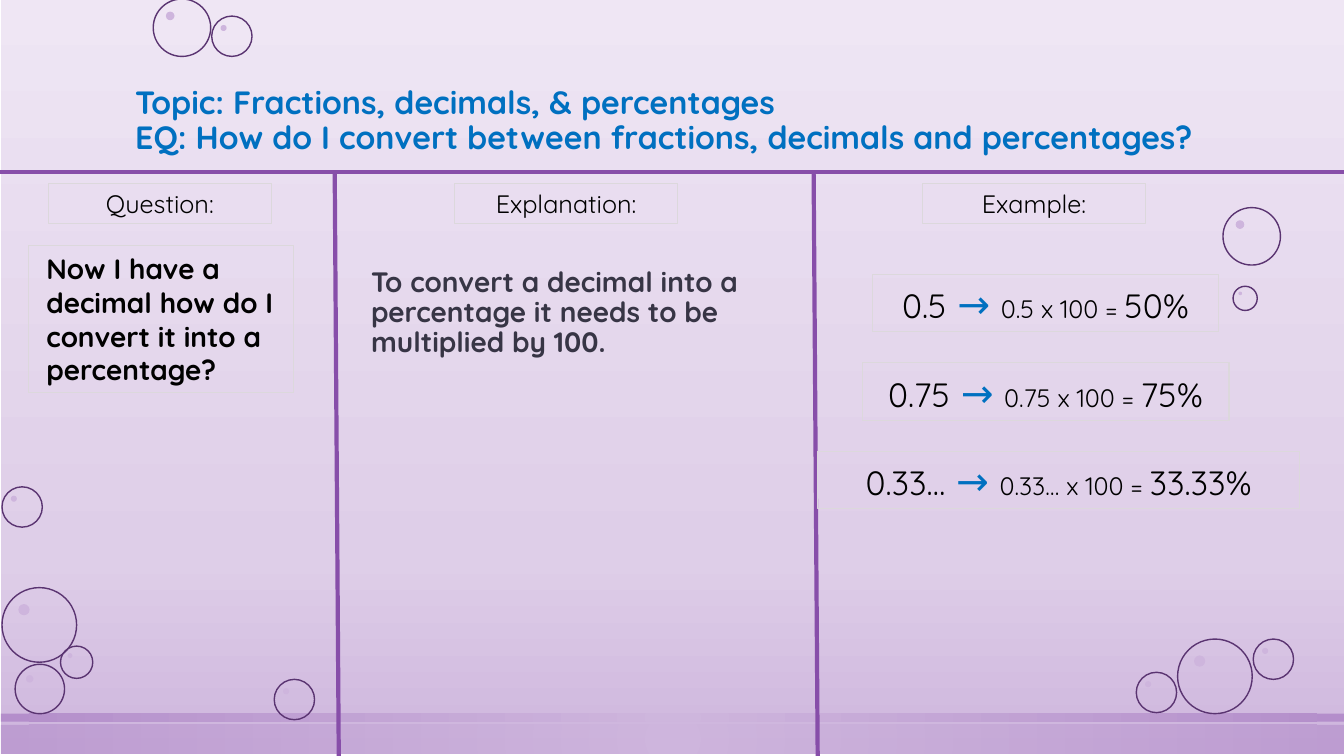
from lxml import etree
from pptx import Presentation
from pptx.dml.color import RGBColor
from pptx.enum.shapes import MSO_CONNECTOR, MSO_SHAPE
from pptx.enum.text import MSO_ANCHOR, MSO_AUTO_SIZE, PP_ALIGN
from pptx.oxml.ns import qn
from pptx.util import Inches, Pt

RECT, OVAL = MSO_SHAPE.RECTANGLE, MSO_SHAPE.OVAL
STRAIGHT = MSO_CONNECTOR.STRAIGHT
LEFT, CENTER = PP_ALIGN.LEFT, PP_ALIGN.CENTER
TOP, MIDDLE, BOTTOM = MSO_ANCHOR.TOP, MSO_ANCHOR.MIDDLE, MSO_ANCHOR.BOTTOM
FIT_SHAPE, NO_FIT = MSO_AUTO_SIZE.SHAPE_TO_FIT_TEXT, MSO_AUTO_SIZE.NONE

FONT = "Quicksand"
COLORS = {
    "pale": "EFE6F4", "lilac": "DECEE8", "mauve": "CEB5DD", "violet": "AD84C6",
    "bubble": "5A3471", "rule": "874EA9", "frame": "DCD8DC",
    "blue": "0070C0", "body": "373545", "black": "000000",
}
SLIDE_W, SLIDE_H = 13.33, 7.5

# Bubbles: left, top, diameter
BUBBLES = [
    (0.02, 5.83, 0.74), (0.6, 6.41, 0.32), (0.15, 6.59, 0.49), (2.72, 6.74, 0.4),
    (0.02, 4.83, 0.4), (11.68, 6.34, 0.74), (11.27, 6.67, 0.4), (12.43, 6.34, 0.4),
    (12.13, 2.06, 0.57), (12.23, 2.84, 0.24), (1.52, -0.01, 0.57), (2.1, 0.16, 0.4),
]
# Column headings: left edge and wording
HEADINGS = [(0.48, "Question:"), (4.51, "Explanation:"), (9.15, "Example:")]
# Examples: left, width, decimal, percentage
EXAMPLES = [
    (8.65, 3.44, "0.5", "50%"),
    (8.55, 3.64, "0.75", "75%"),
    (8.11, 4.78, "0.33…", "33.33%"),
]


def rgb(name):
    return RGBColor.from_string(COLORS[name])


def add_plain_shape(slide, kind, box, fill=None, line=None, width=1):
    shape = slide.shapes.add_shape(kind, *map(Inches, box))
    shape.shadow.inherit = False
    if fill:
        shape.fill.solid()
        shape.fill.fore_color.rgb = rgb(fill)
    else:
        shape.fill.background()
    if line:
        shape.line.color.rgb = rgb(line)
        shape.line.width = Pt(width)
    else:
        shape.line.fill.background()
    return shape


def add_gradient_band(slide, box, stops, alpha=100, radial=False):
    """Stops are (percent, colour) pairs, running down or out from the centre."""
    band = add_plain_shape(slide, RECT, box)
    properties = band.element.spPr
    properties.remove(properties.find(qn("a:noFill")))
    gradient = etree.Element(qn("a:gradFill"), rotWithShape="1")
    stop_list = etree.SubElement(gradient, qn("a:gsLst"))
    for percent, color in stops:
        stop = etree.SubElement(stop_list, qn("a:gs"), pos=str(percent * 1000))
        value = etree.SubElement(stop, qn("a:srgbClr"), val=COLORS[color])
        if alpha < 100:
            etree.SubElement(value, qn("a:alpha"), val=str(alpha * 1000))
    if radial:
        circle = etree.SubElement(gradient, qn("a:path"), path="circle")
        etree.SubElement(circle, qn("a:fillToRect"),
                         {side: "50000" for side in "ltrb"})
    else:
        etree.SubElement(gradient, qn("a:lin"), ang="5400000", scaled="0")
    properties.find(qn("a:prstGeom")).addnext(gradient)


def add_run(paragraph, text, size, color, bold=False):
    run = paragraph.add_run()
    run.text = text
    run.font.name = FONT
    run.font.size = Pt(size)
    run.font.bold = bold
    run.font.color.rgb = rgb(color)


def add_framed_text(slide, box, runs, align=CENTER, inset=0.1):
    frame = add_plain_shape(slide, RECT, box, line="frame", width=0.75)
    text = frame.text_frame
    text.word_wrap = True
    text.auto_size = FIT_SHAPE
    text.vertical_anchor = MIDDLE
    text.margin_left = text.margin_right = Inches(inset)
    paragraph = text.paragraphs[0]
    paragraph.alignment = align
    for run in runs:
        add_run(paragraph, *run)


def place_placeholder(slide, holder, box, anchor):
    """Moves a placeholder above the decoration and returns its paragraph."""
    slide.shapes.element.append(holder.element)
    holder.left, holder.top, holder.width, holder.height = map(Inches, box)
    text = holder.text_frame
    text.word_wrap = True
    text.auto_size = NO_FIT
    text.vertical_anchor = anchor
    paragraph = text.paragraphs[0]
    paragraph.alignment = LEFT
    paragraph.line_spacing = 0.9
    paragraph.space_before = Pt(0)
    return paragraph


def draw_backdrop(slide, box):
    left, top, width, height = box
    add_gradient_band(slide, box, [(0, "pale"), (74, "lilac"), (100, "mauve")])
    glow = [(0, "mauve"), (100, "violet")]
    add_gradient_band(slide, (left, top + 7.21, width, height - 7.21), glow, 50, True)
    add_gradient_band(slide, (left, top + 7.1, width, 0.08), glow, 80, True)


def draw_bubble(slide, left, top, size):
    add_plain_shape(slide, OVAL, (left, top, size, size), line="bubble")
    offset, glint = size * 0.22, size * 0.15
    add_plain_shape(slide, OVAL, (left + offset, top + offset, glint, glint),
                    fill="mauve")


def draw_title(slide, box):
    paragraph = place_placeholder(slide, slide.shapes.title, box, BOTTOM)
    add_run(paragraph, "Topic: Fractions, decimals, & percentages", 23, "blue", True)
    paragraph.add_line_break()
    add_run(paragraph,
            "EQ: How do I convert between fractions, decimals and percentages?",
            23, "blue", True)


def draw_explanation(slide, box):
    paragraph = place_placeholder(slide, slide.placeholders[1], box, TOP)
    indents = paragraph._p.get_or_add_pPr()
    indents.set("marL", str(Inches(0.05)))
    indents.set("indent", "0")
    etree.SubElement(indents, qn("a:buNone"))
    add_run(paragraph,
            "To convert a decimal into a percentage it needs to be multiplied by 100.",
            20, "body", True)


def draw_rules(slide, top):
    for x1, y1, x2, y2 in [(0, top, SLIDE_W, top),
                           (3.32, top, 3.36, SLIDE_H),
                           (8.07, top, 8.11, SLIDE_H)]:
        rule = slide.shapes.add_connector(STRAIGHT, *map(Inches, (x1, y1, x2, y2)))
        rule.line.color.rgb = rgb("rule")
        rule.line.width = Pt(3)
        etree.SubElement(rule.element.spPr, qn("a:effectLst"))


def draw_question(slide, box):
    question = "Now I have a decimal how do I convert it into a percentage?"
    add_framed_text(slide, box, [(question, 20, "black", True)], LEFT, 0.18)


def draw_headings(slide, top):
    for left, heading in HEADINGS:
        add_framed_text(slide, (left, top, 2.21, 0.4), [(heading, 18, "black")])


def draw_examples(slide, top, pitch):
    for row, (left, width, decimal, percentage) in enumerate(EXAMPLES):
        add_framed_text(slide, (left, top + row * pitch, width, 0.57), [
            (decimal, 24, "black"),
            (" → ", 28, "blue"),
            (f"{decimal} x 100 = ", 18, "black"),
            (percentage, 24, "black"),
        ])


def main():
    deck = Presentation()
    deck.slide_width, deck.slide_height = Inches(SLIDE_W), Inches(SLIDE_H)
    slide = deck.slides.add_slide(deck.slide_layouts[1])

    # Decoration
    draw_backdrop(slide, (0.01, -0.02, SLIDE_W, SLIDE_H))
    for bubble in BUBBLES:
        draw_bubble(slide, *bubble)

    # Notes table
    draw_title(slide, (1.24, 0.38, 10.85, 1.22))
    draw_explanation(slide, (3.53, 2.61, 4.27, 1.56))
    draw_rules(slide, 1.71)
    draw_question(slide, (0.28, 2.44, 2.63, 1.45))
    draw_headings(slide, 1.82)
    draw_examples(slide, 2.72, 0.88)

    deck.save("out.pptx")


if __name__ == "__main__":
    main()
